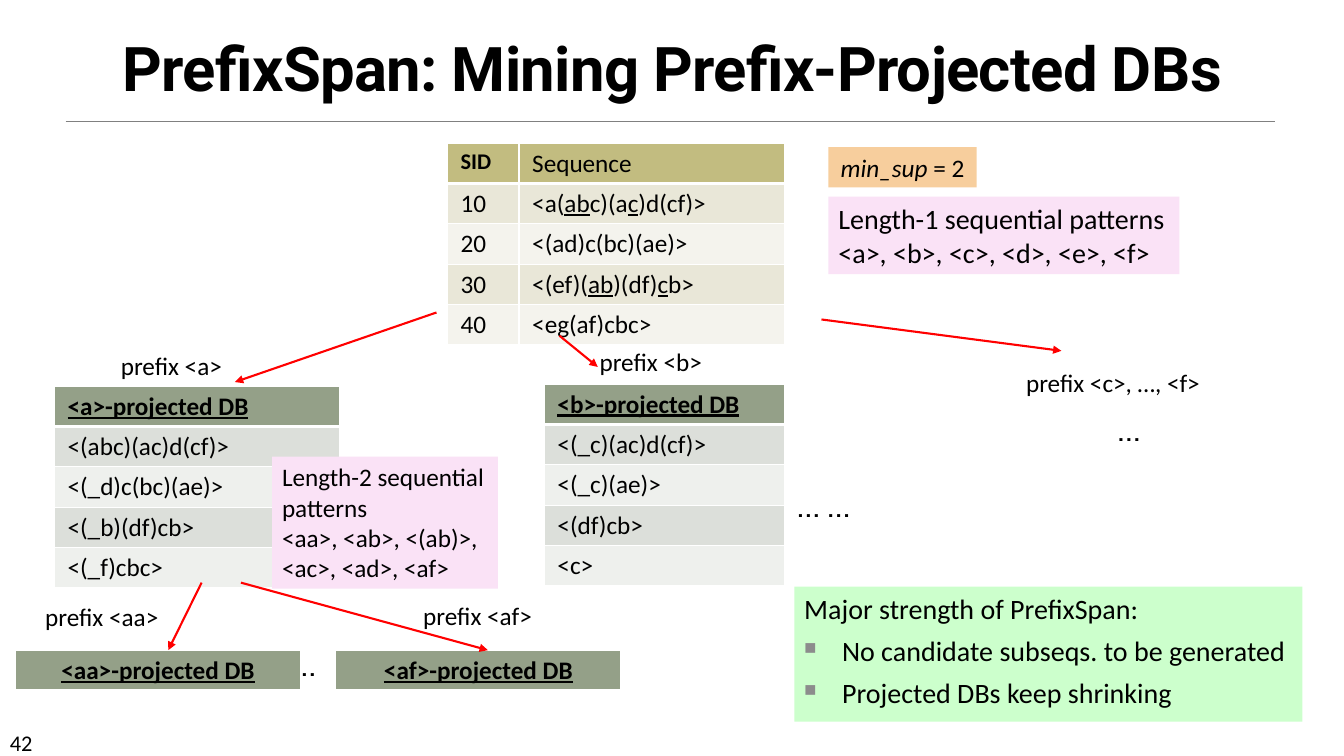
import pptx
import pptx.dml.color
import pptx.enum.shapes
import pptx.enum.text
import pptx.oxml
import pptx.oxml.ns
import pptx.util
from lxml import etree

Pt = pptx.util.Pt
ALIGN = pptx.enum.text.PP_ALIGN
ANCHOR = pptx.enum.text.MSO_ANCHOR
FIT = pptx.enum.text.MSO_AUTO_SIZE
QN = pptx.oxml.ns.qn

BODY = {"name": "Calibri", "size": Pt(18), "bold": False}
LARGE = {**BODY, "size": Pt(20)}
DOTS = {**BODY, "name": "Cabin", "size": Pt(24)}
HEAD = {**BODY, "bold": True, "underline": True}
TITLE = {"name": "Roboto", "size": Pt(44), "bold": True}

OLIVE = ("C2BC80", "E9E7D8", "F4F3ED")
SAGE = ("94A088", "DCDFDA", "EEF0ED")
PINK = "FAE2F6"


def color(text):
    return pptx.dml.color.RGBColor.from_string(text)


def write(para, text, fmt, mark="underline"):
    """Write runs; each bar in the text turns the mark on or off."""
    for i, part in enumerate(text.split("|")):
        if not part:
            continue
        run = para.add_run()
        run.text = part
        values = {**fmt, mark: True} if i % 2 else fmt
        for name, value in values.items():
            setattr(run.font, name, value)
        run.font.color.rgb = color("000000")


def fill_text(frame, lines, fmt, wrap=True, grow=True, mark="underline"):
    frame.word_wrap = wrap
    frame.auto_size = FIT.SHAPE_TO_FIT_TEXT if grow else FIT.NONE
    frame.vertical_anchor = ANCHOR.TOP
    for i, line in enumerate(lines):
        para = frame.paragraphs[0] if i == 0 else frame.add_paragraph()
        para.alignment = ALIGN.LEFT
        write(para, line, fmt, mark)


def add_label(slide, text, box, fmt=BODY, wrap=False, grow=True):
    frame = slide.shapes.add_textbox(*map(Pt, box)).text_frame
    fill_text(frame, [text], fmt, wrap, grow)
    return frame


def add_panel(slide, lines, box, fill, fmt=BODY, **opts):
    kind = pptx.enum.shapes.MSO_SHAPE.RECTANGLE
    shape = slide.shapes.add_shape(kind, *map(Pt, box))
    shape.shadow.inherit = False
    shape.fill.solid()
    shape.fill.fore_color.rgb = color(fill)
    shape.line.fill.background()
    fill_text(shape.text_frame, lines, fmt, **opts)
    return shape.text_frame


def add_line(slide, start, end, tint="FF0000", width=1.5, arrow=True):
    kind = pptx.enum.shapes.MSO_CONNECTOR.STRAIGHT
    line = slide.shapes.add_connector(kind, *map(Pt, (*start, *end)))
    line.line.color.rgb = color(tint)
    line.line.width = Pt(width)
    if arrow:
        tail = etree.SubElement(line.line._get_or_add_ln(), QN("a:tailEnd"))
        tail.set("type", "triangle")
    etree.SubElement(line._element.spPr, QN("a:effectLst"))


def set_edges(cell, row):
    """White borders, thick under the header row."""
    widths = {"L": 1, "R": 1, "T": 3 if row == 1 else 1,
              "B": 3 if row == 0 else 1}
    props = cell._tc.get_or_add_tcPr()
    for i, (side, width) in enumerate(widths.items()):
        edge = pptx.oxml.parse_xml(
            f'<a:ln{side} {pptx.oxml.ns.nsdecls("a")} w="{Pt(width)}">'
            '<a:solidFill><a:srgbClr val="FFFFFF"/></a:solidFill>'
            f'</a:ln{side}>')
        props.insert(i, edge)


def add_grid(slide, rows, spot, widths, fills, heads=(HEAD,),
             height=27.5, align=ALIGN.LEFT):
    size = (sum(widths), height * len(rows))
    table = slide.shapes.add_table(
        len(rows), len(widths), *map(Pt, (*spot, *size))).table
    for col, width in zip(table.columns, widths):
        col.width = Pt(width)
    for r, texts in enumerate(rows):
        table.rows[r].height = Pt(height)
        for c, text in enumerate(texts):
            cell = table.cell(r, c)
            cell.margin_left = cell.margin_right = Pt(9.4)
            cell.margin_top = cell.margin_bottom = Pt(3.6)
            cell.fill.solid()
            shade = 0 if r == 0 else 2 - r % 2
            cell.fill.fore_color.rgb = color(fills[shade])
            set_edges(cell, r)
            para = cell.text_frame.paragraphs[0]
            para.alignment = align
            write(para, text, heads[c] if r == 0 else BODY)


def add_bullet(para):
    para.space_before = Pt(6)
    props = para._p.get_or_add_pPr()
    props.set("marL", str(Pt(27)))
    props.set("indent", str(Pt(-27)))
    tint = etree.SubElement(props, QN("a:buClr"))
    etree.SubElement(tint, QN("a:srgbClr")).set("val", "8C8C8C")
    etree.SubElement(props, QN("a:buSzPct")).set("val", "60000")
    etree.SubElement(props, QN("a:buChar")).set("char", "■")


def main():
    deck = pptx.Presentation()
    deck.slide_width, deck.slide_height = Pt(960), Pt(540)
    slide = deck.slides.add_slide(deck.slide_layouts[6])

    # Title, rule and page number
    add_line(slide, (46.8, 86.4), (910.8, 86.4), "808080", 0.5, False)
    add_label(slide, "42", (0, 517, 84, 21.6), {**BODY, "size": Pt(16)},
              True, False)
    frame = add_label(slide, "PrefixSpan: Mining Prefix-Projected DBs",
                      (0, 18, 960, 59.8), TITLE, True, False)
    frame.vertical_anchor = ANCHOR.BOTTOM
    para = frame.paragraphs[0]
    para.alignment, para.line_spacing = ALIGN.CENTER, 0.85
    para.runs[0]._r.get_or_add_rPr().set("spc", "-50")

    # Prefix labels and dots
    for text, x, y, width in (
            ("prefix <a>", 79.2, 247, 87.8),
            ("prefix <b>", 421.2, 244, 120),
            ("prefix <c>, …, <f>", 725.8, 258.5, 140.4),
            ("prefix <aa>", 25.2, 426.2, 134.6),
            ("prefix <af>", 295.2, 425.5, 92.9)):
        add_label(slide, text, (x, y, width, 28.8),
                  wrap=text in ("prefix <b>", "prefix <aa>"))
    for text, x, y, width in (("…", 202.3, 455.8, 34.6),
                              ("…", 791.3, 288, 34.6),
                              ("… …", 562.3, 342, 61.9)):
        add_label(slide, text, (x, y, width, 36), DOTS)

    # Sequence database and projected databases
    add_grid(slide, [("SID", "Sequence"),
                     ("10", "<a(|ab|c)(a|c|)d(cf)>"),
                     ("20", "<(ad)c(bc)(ae)>"),
                     ("30", "<(ef)(|ab|)(df)|c|b>"),
                     ("40", "<eg(af)cbc>")],
             (319.7, 102.2), (51.1, 189.4), OLIVE,
             ({**BODY, "size": Pt(16), "bold": True}, BODY))
    for name, spot, width, items in (
            ("a", (38.9, 275.8), 203.8,
             ("<(abc)(ac)d(cf)>", "<(_d)c(bc)(ae)>", "<(_b)(df)cb>",
              "<(_f)cbc>")),
            ("b", (388.8, 274.3), 171.4,
             ("<(_c)(ac)d(cf)>", "<(_c)(ae)>", "<(df)cb>", "<c>"))):
        rows = [(f"<{name}>-projected DB",)] + [(item,) for item in items]
        add_grid(slide, rows, spot, (width,), SAGE)
    for name, x in (("aa", 11), ("af", 239.8)):
        add_grid(slide, [(f"<{name}>-projected DB",)], (x, 464.4), (203.8,),
                 SAGE, height=28.8, align=ALIGN.CENTER)

    # Projection arrows
    for start, end in (((311.8, 223.2), (167.8, 272.9)),
                       ((399.6, 239.8), (427, 262.1)),
                       ((586.8, 228.2), (758.2, 250.6)),
                       ((144, 416.2), (120.2, 464.4)),
                       ((172.1, 416.2), (348.5, 464.4))):
        add_line(slide, start, end)

    # Coloured notes
    frame = add_panel(slide, ["|min_sup |= 2"], (591.8, 105.1, 105.8, 28.8),
                      "F7CE9D", mark="italic")
    frame.paragraphs[0].alignment = ALIGN.CENTER
    add_panel(slide, ["Length-1 sequential patterns",
                      "<a>, <b>, <c>, <d>, <e>, <f>"],
              (591.8, 140.4, 250.6, 55.4), PINK, LARGE, wrap=False)
    add_panel(slide, ["Length-2 sequential", "patterns",
                      "<aa>, <ab>, <(ab)>,", "<ac>, <ad>, <af>"],
              (194.4, 326.2, 161.3, 94.3), PINK)
    frame = add_panel(slide, ["Major strength of PrefixSpan:",
                              "No candidate subseqs. to be generated",
                              "Projected DBs keep shrinking"],
                      (567.4, 419, 362.9, 96.5), "CCFFCC", LARGE, grow=False)
    for para in frame.paragraphs[1:]:
        add_bullet(para)

    deck.save("out.pptx")


if __name__ == "__main__":
    main()
